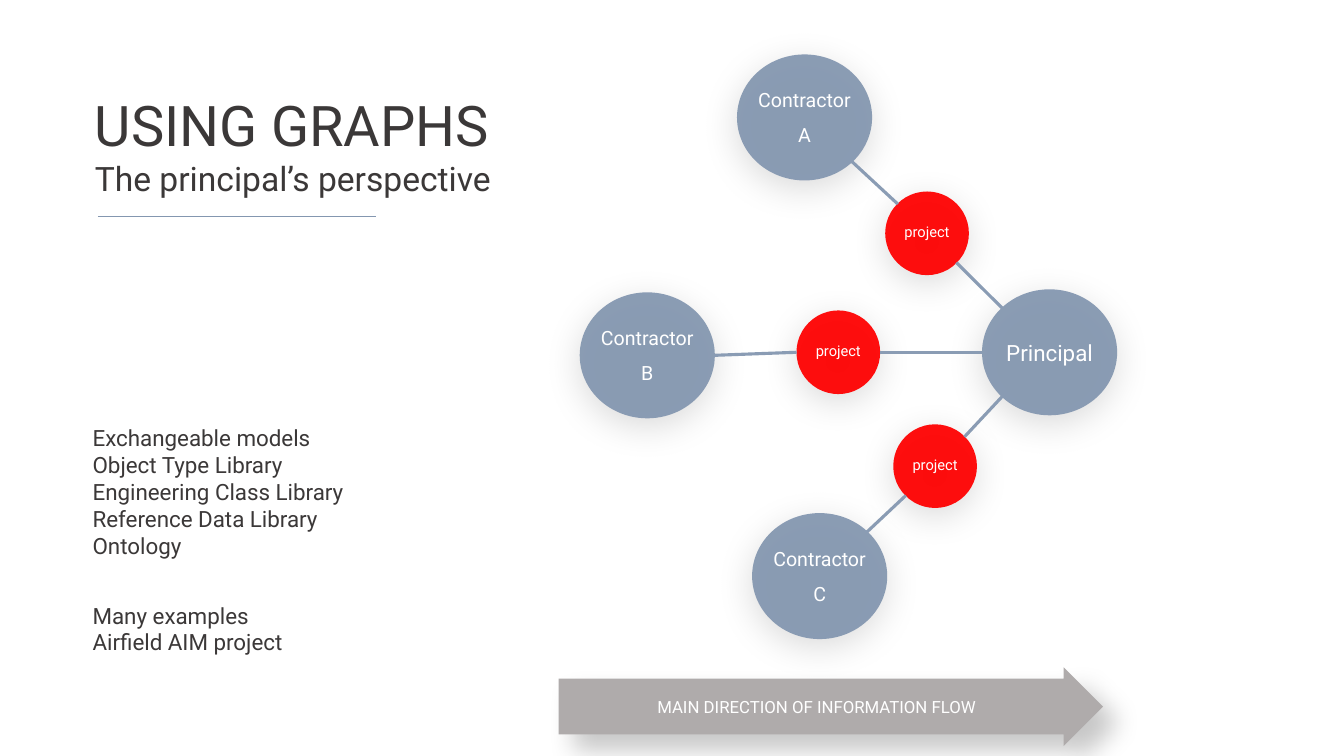
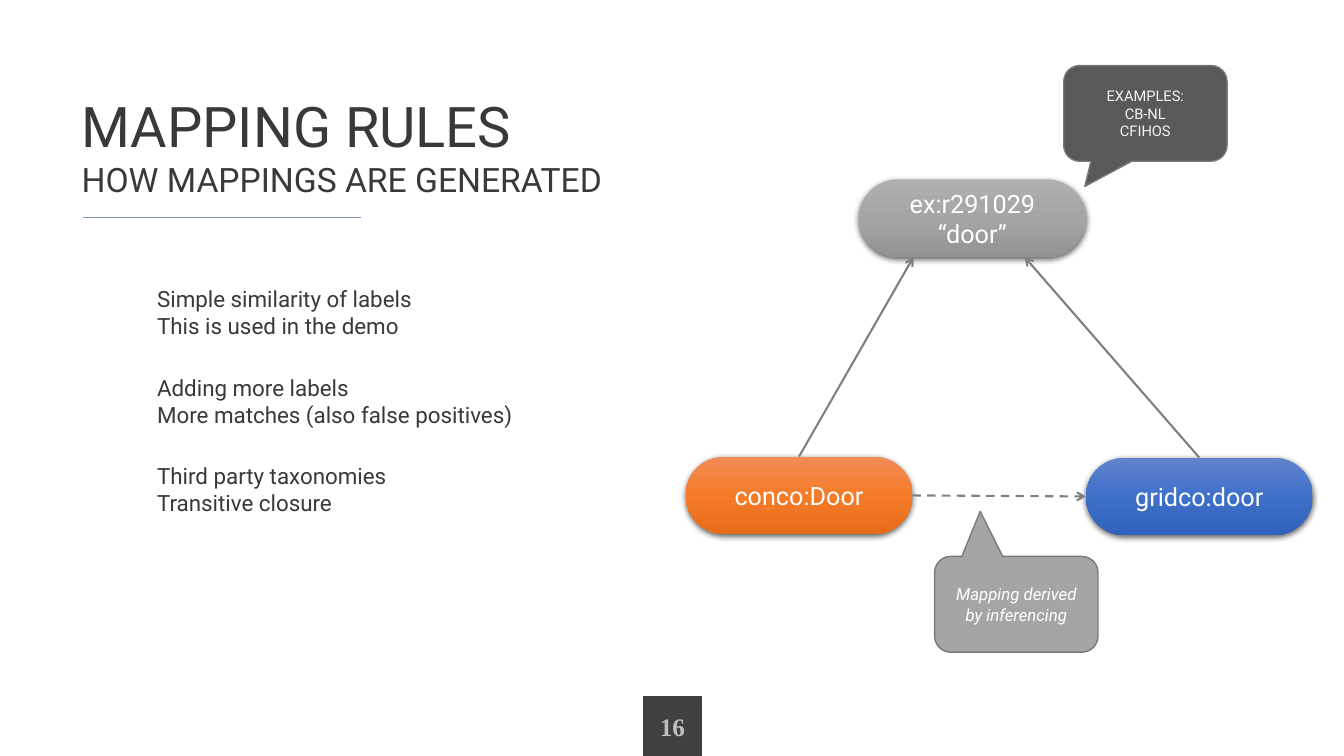
"""Builds two slides: graphs from the principal's perspective, and mapping rules."""
import pptx
import pptx.dml.color
import pptx.enum.dml
import pptx.enum.shapes
import pptx.enum.text
import pptx.oxml.ns
import pptx.util
from lxml import etree

Inches, Pt = pptx.util.Inches, pptx.util.Pt
SHAPES = pptx.enum.shapes.MSO_SHAPE
ANCHOR = pptx.enum.text.MSO_ANCHOR
ALIGN = pptx.enum.text.PP_ALIGN
qn = pptx.oxml.ns.qn

FONT = "Roboto"
COLOURS = {
    "text": "3B3838", "white": "FFFFFF", "steel": "8497B0", "link": "8A9CB4",
    "project": "FF0000", "flow": "AFABAB", "arrow": "808080", "outline": "7A7A7A",
    "note": "A5A5A5", "dark_note": "595959", "pale": "F2F2F2",
    "badge": "404040", "badge_text": "BFBFBF", "shadow": "000000",
}
GRADIENTS = {
    "grey": ("AFAFAF", "A5A5A5", "939393"),
    "orange": ("F18C57", "F67B28", "E56C19"),
    "blue": ("6183CB", "3E70CA", "3062BB"),
}
SHADOWS = {
    "circle": (15, 26, 6, 95),
    "flow": (22, 18, 15, 45),
    "pill": (63, 4.5, 1.5, 90),
}

GRAPHS = {
    "title": ("USING GRAPHS", "The principal’s perspective"),
    "title_box": (0.84, 0.85, 5.15, 1.18),
    "rule": (0.97, 2.15),
    "texts": [
        ((0.82, 4.16, 4.82, 1.48),
         ["Exchangeable models", "Object Type Library", "Engineering Class Library",
          "Reference Data Library", "Ontology"]),
        ((0.82, 5.92, 4.82, 0.64), ["Many examples", "Airfield AIM project"]),
    ],
}
MAPPING = {
    "title": ("MAPPING RULES", "HOW MAPPINGS ARE GENERATED"),
    "title_box": (0.71, 0.86, 5.87, 1.18),
    "rule": (0.82, 2.16),
    "texts": [
        ((1.46, 2.78 + 0.88 * row, 4.24, 0.64), lines)
        for row, lines in enumerate([
            ["Simple similarity of labels", "This is used in the demo"],
            ["Adding more labels", "More matches (also false positives)"],
            ["Third party taxonomies", "Transitive closure"],
        ])
    ],
}

CIRCLE_STYLES = {
    "principal": ((1.34, 1.25), "steel", 16),
    "project": ((0.83, 0.83), "project", 10.5),
    "contractor": ((1.34, 1.25), "steel", 14),
}
CIRCLES = {
    "principal": ("principal", (9.74, 2.87), ["Principal"]),
    "project A": ("project", (8.78, 1.9), ["project"]),
    "project B": ("project", (7.9, 3.08), ["project"]),
    "project C": ("project", (8.86, 4.21), ["project"]),
    "contractor A": ("contractor", (7.31, 0.54), ["Contractor", "A"]),
    "contractor B": ("contractor", (5.75, 2.9), ["Contractor", "B"]),
    "contractor C": ("contractor", (7.46, 5.09), ["Contractor", "C"]),
}
LEFT, RIGHT, TOP = (0, 0.5), (1, 0.5), (0.5, 0)
TOP_LEFT, TOP_RIGHT = (0.15, 0.15), (0.85, 0.15)
BOTTOM_LEFT, BOTTOM_RIGHT = (0.15, 0.85), (0.85, 0.85)
CIRCLE_LINKS = [
    ("contractor C", TOP_RIGHT, "project C", BOTTOM_LEFT),
    ("project C", TOP_RIGHT, "principal", BOTTOM_LEFT),
    ("project B", RIGHT, "principal", LEFT),
    ("contractor B", RIGHT, "project B", LEFT),
    ("contractor A", BOTTOM_RIGHT, "project A", TOP_LEFT),
    ("project A", BOTTOM_RIGHT, "principal", TOP_LEFT),
]
FLOW = "MAIN DIRECTION OF INFORMATION FLOW"

PILLS = {
    "example": ((8.52, 1.78), "grey", ["ex:r291029", "“door”"]),
    "conco": ((6.8, 4.53), "orange", ["conco:Door"]),
    "gridco": ((10.77, 4.54), "blue", ["gridco:door"]),
}
PILL_LINKS = [
    ("conco", TOP, "example", (0.24, 1), False),
    ("gridco", TOP, "example", (0.73, 1), False),
    ("conco", RIGHT, "gridco", LEFT, True),
]
CALLOUTS = [
    ((9.27, 5.52), (-0.221, -0.972, 0.167), "note", "white", 12, True,
     ["Mapping derived by inferencing"]),
    ((10.55, 0.65), (-0.371, 0.763, 0.167), "dark_note", "pale", 10.5, False,
     ["EXAMPLES:", "CB-NL", "CFIHOS"]),
]


def rgb(name):
    return pptx.dml.color.RGBColor.from_string(COLOURS[name])


def write(frame, lines, sizes, colour, align=ALIGN.LEFT, anchor=ANCHOR.TOP,
          spacing=1, font=FONT, bold=False, italic=False):
    frame.word_wrap = True
    frame.auto_size = pptx.enum.text.MSO_AUTO_SIZE.NONE
    frame.vertical_anchor = anchor
    for index, (line, size) in enumerate(zip(lines, sizes)):
        paragraph = frame.add_paragraph() if index else frame.paragraphs[0]
        paragraph.alignment = align
        paragraph.line_spacing = spacing
        run = paragraph.add_run()
        run.text = line
        run.font.name, run.font.size = font, Pt(size)
        run.font.bold, run.font.italic = bold, italic
        run.font.color.rgb = rgb(colour)


def add_colour(parent, value, alpha=None):
    colour = etree.SubElement(parent, qn("a:srgbClr"), val=value)
    if alpha is not None:
        etree.SubElement(colour, qn("a:alpha"), val=str(alpha * 1000))


def add_box(slide, kind, box, lines, size, fill=None, line=None, text="white",
            adjustments=(), shadow=None, **style):
    shape = slide.shapes.add_shape(kind, *map(Inches, box))
    for index, value in enumerate(adjustments):
        shape.adjustments[index] = value
    if fill:
        shape.fill.solid()
        shape.fill.fore_color.rgb = rgb(fill)
    if line:
        shape.line.color.rgb = rgb(line)
        shape.line.width = Pt(1)
    else:
        shape.line.fill.background()
    shape.shadow.inherit = False
    if shadow:
        alpha, blur, distance, angle = SHADOWS[shadow]
        effects = shape._element.spPr.find(qn("a:effectLst"))
        outer = etree.SubElement(
            effects, qn("a:outerShdw"), blurRad=str(Pt(blur)), dist=str(Pt(distance)),
            dir=str(angle * 60000), algn="ctr", rotWithShape="0")
        add_colour(outer, COLOURS["shadow"], alpha)
    write(shape.text_frame, lines, [size] * len(lines), text, ALIGN.CENTER,
          ANCHOR.MIDDLE, **style)
    return shape


def add_line(slide, start, end, colour, width, arrow=False, dashed=False):
    connector = slide.shapes.add_connector(
        pptx.enum.shapes.MSO_CONNECTOR.STRAIGHT, *map(int, (*start, *end)))
    connector.line.color.rgb = rgb(colour)
    connector.line.width = Pt(width)
    if dashed:
        connector.line.dash_style = pptx.enum.dml.MSO_LINE.DASH
    properties = connector._element.spPr
    if arrow:
        etree.SubElement(properties.find(qn("a:ln")), qn("a:tailEnd"), type="arrow")
    etree.SubElement(properties, qn("a:effectLst"))


def point_on(shape, fraction):
    return (shape.left + shape.width * fraction[0], shape.top + shape.height * fraction[1])


def add_slide(presentation, content):
    slide = presentation.slides.add_slide(presentation.slide_layouts[5])
    title = slide.shapes.title
    title.left, title.top, title.width, title.height = map(Inches, content["title_box"])
    write(title.text_frame, content["title"], (40, 24), "text")
    left, top = content["rule"]
    add_line(slide, (Inches(left), Inches(top)), (Inches(left + 2.76), Inches(top)),
             "steel", 0.5)
    for box, lines in content["texts"]:
        text_box = slide.shapes.add_textbox(*map(Inches, box))
        write(text_box.text_frame, lines, [16] * len(lines), "text")
    return slide


def add_circle(slide, style, position, lines):
    extent, fill, size = CIRCLE_STYLES[style]
    circle = add_box(slide, SHAPES.OVAL, (*position, *extent), lines, size, fill,
                     shadow="circle", spacing=1.5)
    colour = circle._element.spPr.find(qn("a:solidFill")).find(qn("a:srgbClr"))
    etree.SubElement(colour, qn("a:alpha"), val="94000")
    frame = circle.text_frame
    frame.margin_left = frame.margin_top = frame.margin_right = 0
    frame.margin_bottom = Inches(0.12)
    return circle


def add_pill(slide, position, gradient, lines):
    pill = add_box(slide, SHAPES.ROUNDED_RECTANGLE, (*position, 2.25, 0.77), lines, 18,
                   adjustments=[0.5], shadow="pill")
    pill.fill.gradient()
    pill.fill.gradient_angle = 270
    stops = pill._element.spPr.find(qn("a:gradFill")).find(qn("a:gsLst"))
    for stop in list(stops):
        stops.remove(stop)
    for index, value in enumerate(GRADIENTS[gradient]):
        add_colour(etree.SubElement(stops, qn("a:gs"), pos=str(index * 50000)), value)
    return pill


def build_graphs(presentation):
    slide = add_slide(presentation, GRAPHS)
    circles = {name: add_circle(slide, *circle) for name, circle in CIRCLES.items()}
    for source, source_side, target, target_side in CIRCLE_LINKS:
        add_line(slide, point_on(circles[source], source_side),
                 point_on(circles[target], target_side), "link", 2.25)
    add_box(slide, SHAPES.RIGHT_ARROW, (5.54, 6.62, 5.4, 0.78), [FLOW], 12, "flow",
            adjustments=(0.709, 0.5), shadow="flow")


def build_mapping(presentation):
    slide = add_slide(presentation, MAPPING)
    add_box(slide, SHAPES.RECTANGLE, (6.38, 6.91, 0.58, 0.59), ["16"], 18, "badge",
            "badge", "badge_text", font="Times New Roman", bold=True)
    pills = {name: add_pill(slide, *pill) for name, pill in PILLS.items()}
    for source, source_side, target, target_side, dashed in PILL_LINKS:
        add_line(slide, point_on(pills[source], source_side),
                 point_on(pills[target], target_side), "arrow", 1.5, True, dashed)
    for position, adjustments, fill, text, size, italic, lines in CALLOUTS:
        add_box(slide, SHAPES.ROUNDED_RECTANGULAR_CALLOUT, (*position, 1.62, 0.95), lines,
                size, fill, "outline", text, adjustments, italic=italic)


def main():
    presentation = pptx.Presentation()
    presentation.slide_width, presentation.slide_height = Inches(13.33), Inches(7.5)
    build_graphs(presentation)
    build_mapping(presentation)
    presentation.save("out.pptx")


if __name__ == "__main__":
    main()
